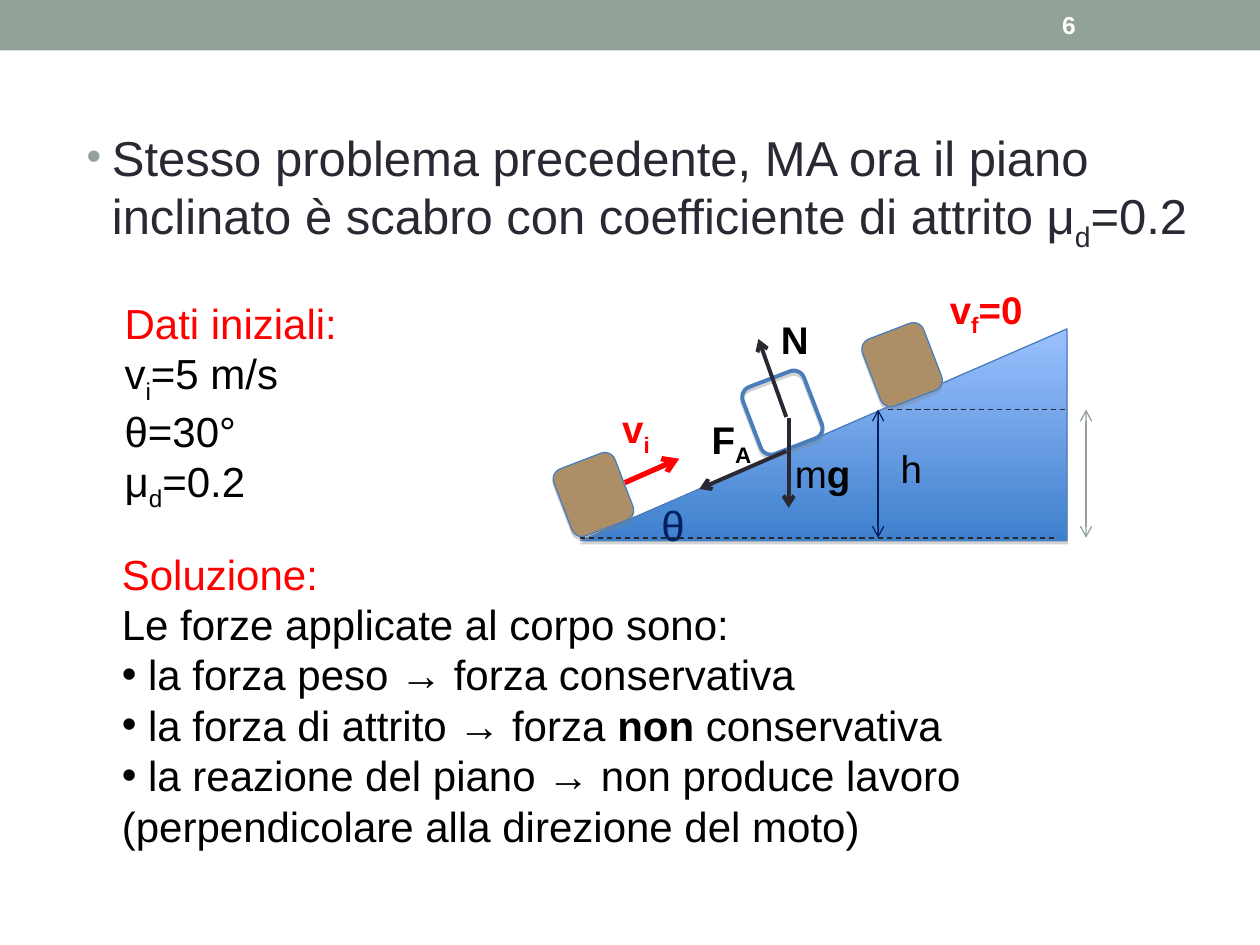
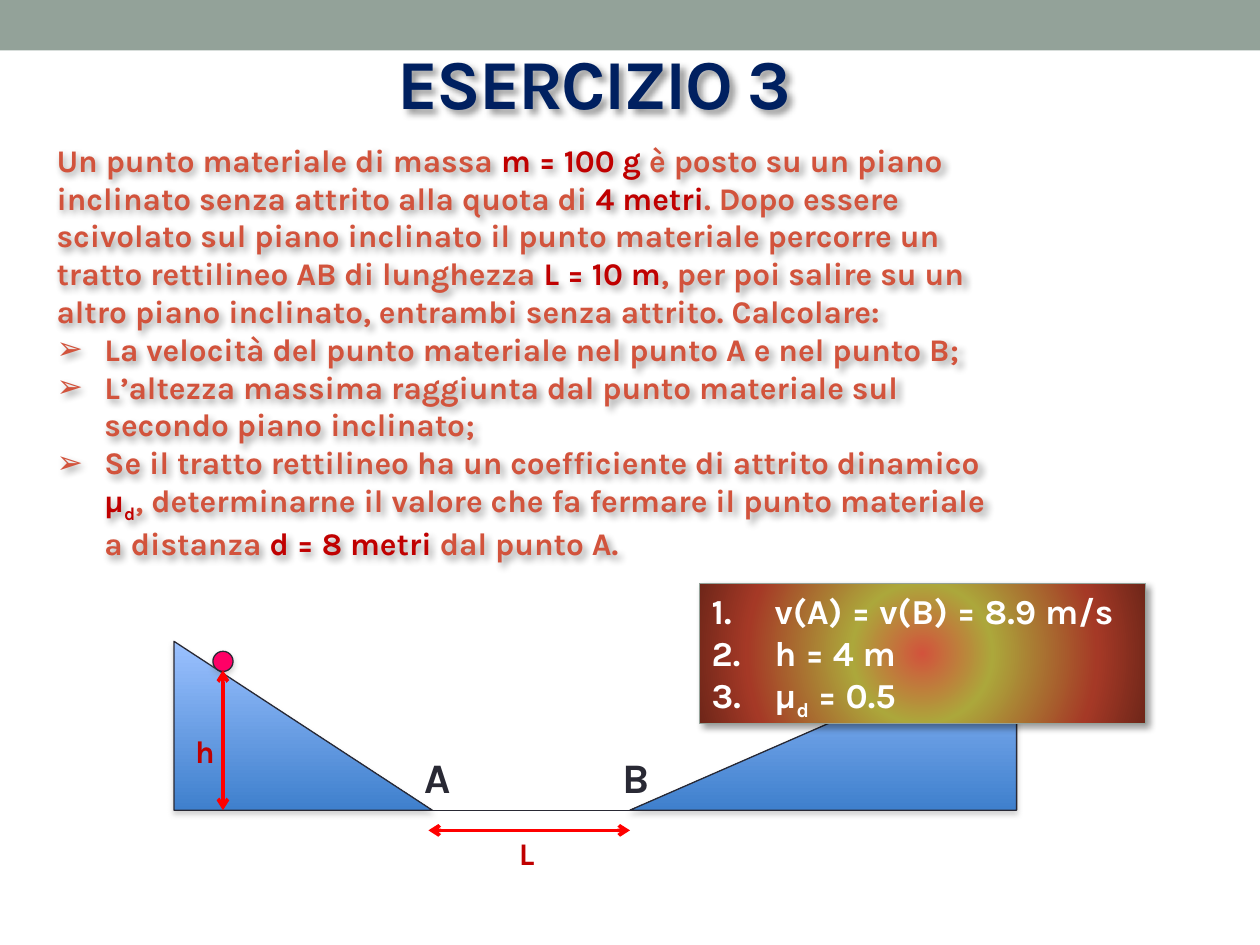
"""Build two physics slides: a rough inclined plane and exercise 3."""
from dataclasses import dataclass

from lxml import etree
from pptx import Presentation
from pptx.dml.color import RGBColor
from pptx.enum.dml import MSO_LINE
from pptx.enum.shapes import MSO_CONNECTOR, MSO_SHAPE
from pptx.enum.text import MSO_ANCHOR, MSO_AUTO_SIZE, PP_ALIGN
from pptx.oxml.ns import qn
from pptx.util import Pt

RECT, ROUND_RECT = MSO_SHAPE.RECTANGLE, MSO_SHAPE.ROUNDED_RECTANGLE
TRIANGLE, OVAL = MSO_SHAPE.RIGHT_TRIANGLE, MSO_SHAPE.OVAL
STRAIGHT, DASH = MSO_CONNECTOR.STRAIGHT, MSO_LINE.DASH
TOP, MIDDLE = MSO_ANCHOR.TOP, MSO_ANCHOR.MIDDLE
LEFT, CENTER = PP_ALIGN.LEFT, PP_ALIGN.CENTER
GROW, FIXED = MSO_AUTO_SIZE.SHAPE_TO_FIT_TEXT, MSO_AUTO_SIZE.NONE


@dataclass(frozen=True)
class Theme:
    sans: str = "Arial"
    display: str = "Karla"
    sage: str = "93A299"
    ink: str = "292934"
    black: str = "000000"
    white: str = "FFFFFF"
    red: str = "FF0000"
    navy: str = "002060"
    coral: str = "D2533C"
    crimson: str = "C00000"
    blue: str = "4A7EBB"
    wood: str = "AD8F67"
    pink: str = "FF0066"
    slope: tuple = ((0, "9BC1FF"), (100, "3F80CD"))
    glow: tuple = ((0, "D2533C"), (30, "ACA73B"), (75, "A53926"), (100, "6E2619"))
    flat_shadow: tuple = ("808080", 35, 0, 1.8, 90)
    soft_shadow: tuple = ("808080", 35, 3.1, 1.8, 90)
    deep_shadow: tuple = ("000000", 40, 4, 3, 45)
    title: int = 40
    lead: int = 28
    text: int = 24
    label: int = 22
    answer: int = 20
    body: int = 18
    number: int = 14


T = Theme()
SUB = {"base": -25}
KEY = {"color": T.crimson}


def style(sp, line=None, width=0.75, fill=None, shadow=None, dash=None, heads=()):
    """Set outline, fill, shadow and arrowheads; a fill of several stops is a gradient."""
    spPr = sp.element.spPr
    if line:
        sp.line.color.rgb = RGBColor.from_string(line)
        sp.line.width = Pt(width)
        if dash:
            sp.line.dash_style = dash
        for end in heads:
            etree.SubElement(spPr.find(qn("a:ln")), qn(f"a:{end}End"), type="arrow")
    elif hasattr(sp, "fill"):
        sp.line.fill.background()
    if isinstance(fill, tuple):
        sp.fill.gradient()
        grad = spPr.find(qn("a:gradFill"))
        for child in list(grad):
            grad.remove(child)
        stops = etree.SubElement(grad, qn("a:gsLst"))
        for pos, color in fill:
            gs = etree.SubElement(stops, qn("a:gs"), pos=str(pos * 1000))
            etree.SubElement(gs, qn("a:srgbClr"), val=color)
        if len(fill) > 2:
            radial = etree.SubElement(grad, qn("a:path"), path="circle")
            etree.SubElement(radial, qn("a:fillToRect"),
                             {side: "50000" for side in "ltrb"})
        else:
            etree.SubElement(grad, qn("a:lin"), ang="5400000", scaled="0")
    elif fill:
        sp.fill.solid()
        sp.fill.fore_color.rgb = RGBColor.from_string(fill)
    elif hasattr(sp, "fill"):
        sp.fill.background()
    effects = etree.SubElement(spPr, qn("a:effectLst"))
    if shadow:
        color, alpha, blur, dist, angle = shadow
        outer = etree.SubElement(effects, qn("a:outerShdw"), blurRad=str(int(Pt(blur))),
                                 dist=str(int(Pt(dist))), dir=str(angle * 60000),
                                 algn="ctr", rotWithShape="0")
        clr = etree.SubElement(outer, qn("a:srgbClr"), val=color)
        etree.SubElement(clr, qn("a:alpha"), val=str(alpha * 1000))
    return sp


def text(s, box, paras, sp=None, size=T.text, color=T.black, font=T.sans, bold=False,
         align=LEFT, anchor=TOP, wrap=True, fit=GROW, shadow=None, spacing=None,
         before=0, bullet=None, first_bullet=0, indent=0, bullet_color=None):
    """Write paragraphs of runs; a run is a string or a (string, format) pair."""
    if sp is None:
        sp = style(s.shapes.add_textbox(*map(Pt, box)), shadow=shadow)
    tf = sp.text_frame
    tf.word_wrap, tf.auto_size, tf.vertical_anchor = wrap, fit, anchor
    for i, runs in enumerate(paras):
        p = tf.paragraphs[0] if i == 0 else tf.add_paragraph()
        p.alignment = align
        if before:
            p.space_before = Pt(before)
        if bullet and i >= first_bullet:
            pPr = p._p.get_or_add_pPr()
            pPr.set("marL", str(int(Pt(indent))))
            pPr.set("indent", str(-int(Pt(indent))))
            if bullet_color:
                clr = etree.SubElement(pPr, qn("a:buClr"))
                etree.SubElement(clr, qn("a:srgbClr"), val=bullet_color)
                etree.SubElement(pPr, qn("a:buSzPct"), val="85000")
            if bullet == "1.":
                etree.SubElement(pPr, qn("a:buAutoNum"), type="arabicPeriod")
            else:
                etree.SubElement(pPr, qn("a:buFont"), typeface=T.sans)
                etree.SubElement(pPr, qn("a:buChar"), char=bullet)
        for run in runs:
            words, fmt = (run, {}) if isinstance(run, str) else run
            r = p.add_run()
            r.text = words
            r.font.name, r.font.size = font, Pt(size)
            r.font.bold = fmt.get("bold", bold)
            r.font.color.rgb = RGBColor.from_string(fmt.get("color", color))
            if "base" in fmt:
                r._r.get_or_add_rPr().set("baseline", str(fmt["base"] * 1000))
            if spacing:
                r._r.get_or_add_rPr().set("spc", str(spacing * 100))
    return sp


prs = Presentation()
prs.slide_width, prs.slide_height = Pt(720), Pt(540)
for _ in range(2):
    s = prs.slides.add_slide(prs.slide_layouts[6])
    band = s.shapes.add_shape(RECT, 0, 0, prs.slide_width, Pt(28.8))
    style(band, fill=T.sage)
plane_slide, exercise_slide = prs.slides

s = plane_slide
text(s, (599.8, 1.4, 84.2, 25.9), [["6"]], size=T.number, color=T.white, bold=True,
     anchor=MIDDLE, fit=FIXED)
text(s, (42.5, 69.1, 662.4, 354.2),
     [["Stesso problema precedente, MA ora il piano inclinato è scabro con "
       "coefficiente di attrito μ", ("d", SUB), "=0.2"]],
     size=T.lead, color=T.ink, fit=FIXED, before=4, bullet="•", indent=14.4,
     bullet_color=T.sage)

plane = s.shapes.add_shape(TRIANGLE, Pt(331.9), Pt(187.9), Pt(277.9), Pt(121))
plane.element.spPr.find(qn("a:xfrm")).set("flipH", "1")
style(plane, T.blue, fill=T.slope, shadow=T.flat_shadow)
blocks = []
for x, y, fill, width in [(320.4, 262.1, T.wood, 0.75), (496.8, 187.9, T.wood, 0.75),
                          (428.4, 215.3, None, 2.25)]:
    block = s.shapes.add_shape(ROUND_RECT, Pt(x), Pt(y), Pt(37.4), Pt(41))
    block.rotation = 339
    blocks.append(style(block, T.blue, width, fill, T.flat_shadow))

top, base = 234, 307.4
for ends, color, width, dash, heads in [
    ((507.6, top, 609.1, top), T.ink, 0.75, DASH, ()),
    ((331.2, base, 603.4, base), T.ink, 0.75, DASH, ()),
    ((620.6, top, 620.6, base), T.sage, 0.75, None, ("head", "tail")),
    ((501.8, top, 501.8, base), T.navy, 0.75, None, ("head", "tail")),
    ((450.7, 239, 450.7, 290.2), T.ink, 2.25, None, ("tail",)),
    ((449.3, 238.3, 433.4, 193.7), T.ink, 2.25, None, ("tail",)),
    ((449.3, 257.8, 399.6, 279.4), T.ink, 2.25, None, ("tail",)),
]:
    style(s.shapes.add_connector(STRAIGHT, *map(Pt, ends)), color, width,
          dash=dash, heads=heads)
velocity = s.shapes.add_connector(STRAIGHT, Pt(357.1), Pt(275.8), Pt(388.1), Pt(262.1))
velocity.begin_connect(blocks[0], 3)
velocity.begin_x, velocity.begin_y = Pt(357.1), Pt(275.8)
style(velocity, T.red, 3, heads=("tail",))

for x, y, w, runs, color, bold in [
    (348.5, 228.2, 45.4, ["v", ("i", SUB)], T.red, True),
    (507.6, 250.6, 45.4, ["h"], T.black, False),
    (535.7, 159.8, 85, ["v", ("f", SUB), "=0"], T.red, True),
    (447.1, 253.4, 65.5, ["m", ("g", {"bold": True})], T.black, False),
    (439.2, 177.1, 45.4, ["N"], T.black, True),
    (399.6, 234, 45.4, ["F", ("A", SUB)], T.black, True),
]:
    text(s, (x, y, w, 33.8), [runs], size=T.label, color=color, bold=bold)
text(s, (370.8, 282.2, 27.4, 31), [["θ"]], color=T.navy)
heading = {"color": T.red}
text(s, (64.1, 166.3, 238.3, 123.8),
     [[("Dati iniziali:", heading)], ["v", ("i", SUB), "=5 m/s"], ["θ=30°"],
      ["μ", ("d", SUB), "=0.2"]])
text(s, (62.6, 309.6, 537.8, 181.4),
     [[("Soluzione:", heading)], ["Le forze applicate al corpo sono:"],
      [" la forza peso → forza conservativa"],
      [" la forza di attrito → forza ", ("non", {"bold": True}), " conservativa"],
      [" la reazione del piano → non produce lavoro "
       "(perpendicolare alla direzione del moto)"]],
     bullet="•", first_bullet=2)

s = exercise_slide
text(s, (-17.3, 18.7, 713.5, 55.4), [["ESERCIZIO 3"]], size=T.title, color=T.navy,
     font=T.display, bold=True, align=CENTER, anchor=MIDDLE, fit=FIXED,
     shadow=T.deep_shadow, spacing=-1)
text(s, (25.2, 77, 555.8, 247),
     [["Un punto materiale di massa ", ("m = 100 g ", KEY),
       "è posto su un piano inclinato senza attrito alla quota di ", ("4 metri", KEY),
       ". Dopo essere scivolato sul piano inclinato il punto materiale percorre un "
       "tratto rettilineo AB di lunghezza ", ("L = 10 m", KEY),
       ", per poi salire su un altro piano inclinato, entrambi senza attrito. Calcolare:"],
      ["La velocità del punto materiale nel punto A e nel punto B;"],
      ["L’altezza massima raggiunta dal punto materiale sul secondo piano inclinato;"],
      ["Se il tratto rettilineo ha un coefficiente di attrito dinamico ", ("μ", KEY),
       ("d", {**KEY, **SUB}),
       ", determinarne il valore che fa fermare il punto materiale a distanza ",
       ("d = 8 metri ", KEY), "dal punto A."]],
     size=T.body, color=T.coral, font=T.display, bold=True, shadow=T.deep_shadow,
     bullet="➢", first_bullet=1, indent=27.4)

ground = 463
for x, w, flip in [(99.4, 147.6, "0"), (360, 221, "1")]:
    ramp = s.shapes.add_shape(TRIANGLE, Pt(x), Pt(366.5), Pt(w), Pt(ground - 366.5))
    ramp.element.spPr.find(qn("a:xfrm")).set("flipH", flip)
    style(ramp, T.ink, fill=T.slope, shadow=T.soft_shadow)
ball = s.shapes.add_shape(OVAL, Pt(121.7), Pt(372.2), Pt(11.5), Pt(11.5))
style(ball, T.ink, fill=T.pink, shadow=T.soft_shadow)

for ends, color, width, heads in [
    ((360, ground, 246.2, ground), T.ink, 0.75, ()),
    ((127.4, 383, 127.4, ground), T.red, 2.08, ("head", "tail")),
    ((360, 474.5, 244.8, 474.5), T.red, 2.08, ("head", "tail")),
]:
    style(s.shapes.add_connector(STRAIGHT, *map(Pt, ends)), color, width, heads=heads)
for label, box, size, color, wrap in [
    ("A", (235.4, 426.2, 23, 36), T.text, T.ink, True),
    ("B", (348.5, 426.2, 23, 36), T.text, T.ink, True),
    ("h", (104.4, 414.7, 25.2, 28.8), T.body, T.crimson, False),
    ("L", (289.4, 473, 23.8, 28.8), T.body, T.crimson, False),
]:
    text(s, box, [[label]], size=size, color=color, font=T.display, bold=True, wrap=wrap)

answers = s.shapes.add_shape(RECT, Pt(399.6), Pt(333.4), Pt(254.9), Pt(79.9))
style(answers, T.sage, fill=T.glow, shadow=T.deep_shadow)
text(s, None, [["v(A) = v(B) = 8.9 m/s"], ["h = 4 m"], ["μ", ("d", SUB), " = 0.5"]],
     sp=answers, size=T.answer, color=T.white, font=T.display, bold=True,
     bullet="1.", indent=36)

prs.save("out.pptx")
